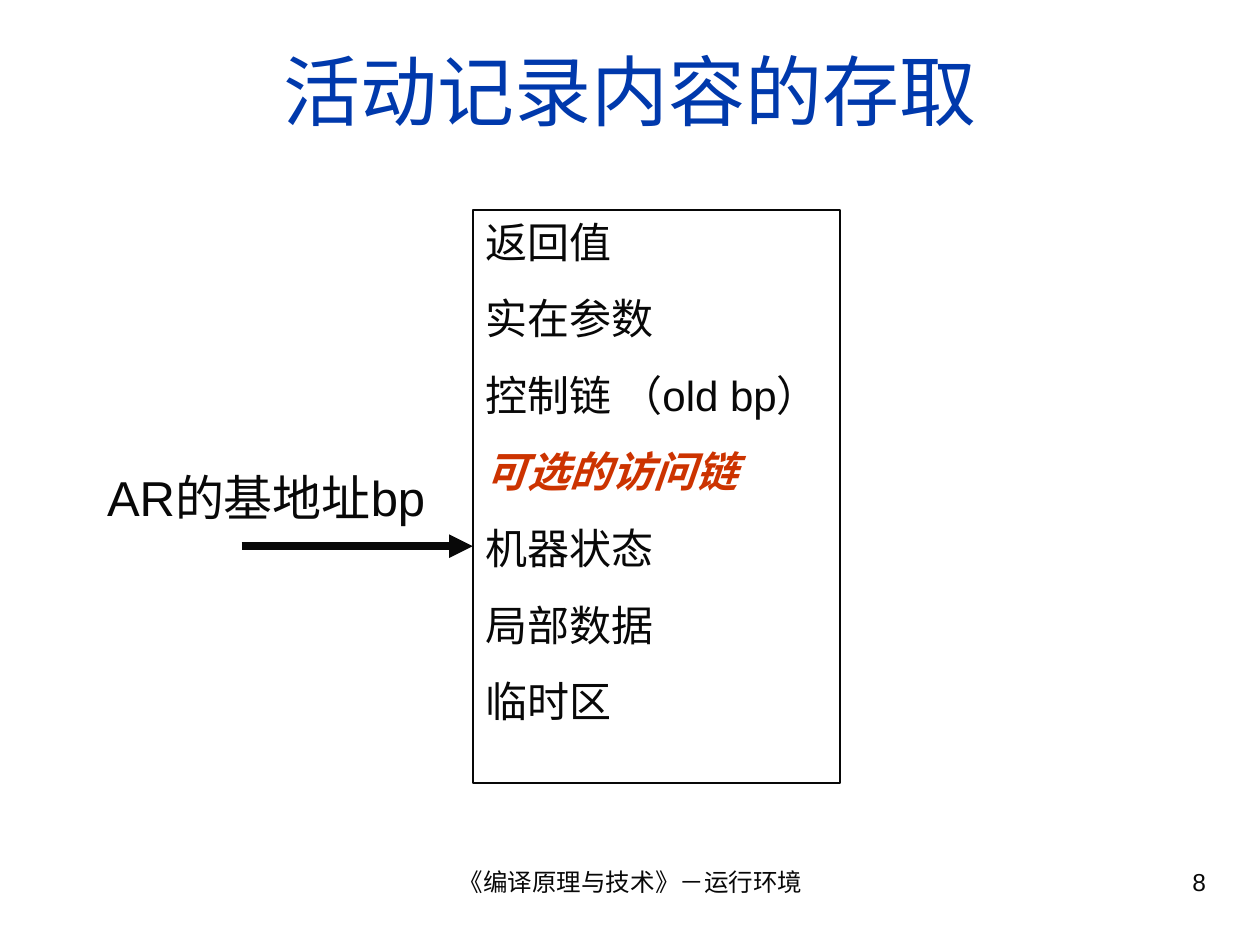
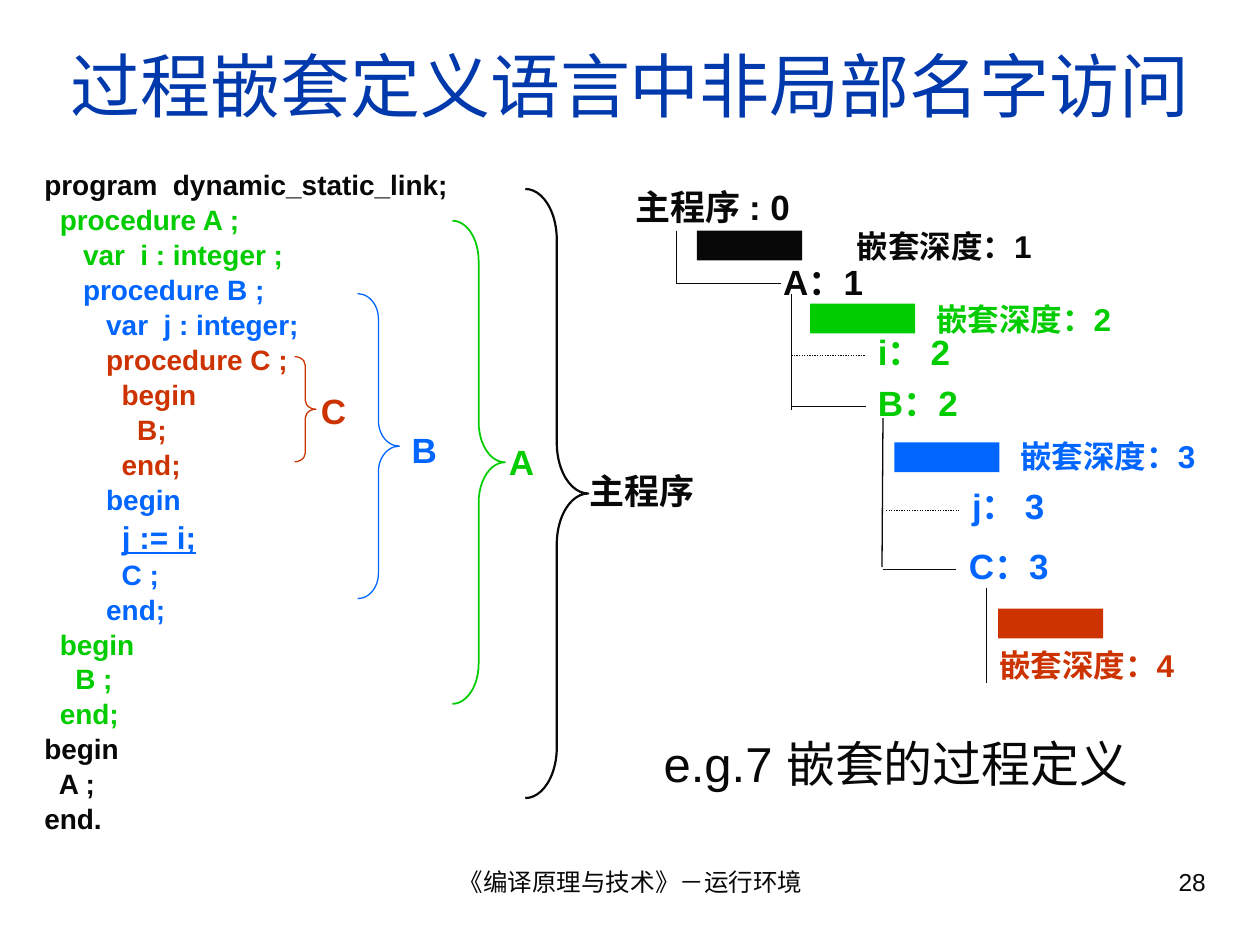
import pptx
import pptx.util
import pptx.dml.color
import pptx.enum.dml
import pptx.enum.shapes
import pptx.enum.text
import pptx.oxml
import pptx.oxml.ns

Cm, Pt = pptx.util.Cm, pptx.util.Pt
RGB = pptx.dml.color.RGBColor
ALIGN = pptx.enum.text.PP_ALIGN
ANCHOR = pptx.enum.text.MSO_ANCHOR
SHAPE = pptx.enum.shapes.MSO_SHAPE
DASH = pptx.enum.dml.MSO_LINE

# Shared look
FONT = "Arial"
BLACK = RGB(0x08, 0x08, 0x08)
NAVY = RGB(0x00, 0x39, 0xAC)
GREEN = RGB(0x00, 0xCC, 0x00)
BLUE = RGB(0x00, 0x66, 0xFF)
RED = RGB(0xCC, 0x33, 0x00)
FOOTER = "《编译原理与技术》－运行环境"

# Activation record: text, colour, emphasis
RECORD = [
    ("返回值", BLACK, False),
    ("实在参数", BLACK, False),
    ("控制链 （old bp）", BLACK, False),
    ("可选的访问链", RED, True),
    ("机器状态", BLACK, False),
    ("局部数据", BLACK, False),
    ("临时区", BLACK, False),
]

# Nested program: colour and code line
CODE = [
    (BLACK, "program  dynamic_static_link;"),
    (GREEN, "  procedure A ;"),
    (GREEN, "     var  i : integer ;"),
    (BLUE, "     procedure B ;"),
    (BLUE, "        var  j : integer;"),
    (RED, "        procedure C ;"),
    (RED, "          begin"),
    (RED, "            B;"),
    (RED, "          end;"),
    (BLUE, "        begin"),
    (BLUE, "          j := i;"),
    (BLUE, "          C ;"),
    (BLUE, "        end;"),
    (GREEN, "  begin"),
    (GREEN, "    B ;"),
    (GREEN, "  end;"),
    (BLACK, "begin"),
    (BLACK, "  A ;"),
    (BLACK, "end."),
]
KEY = "j := i;"

# Scope braces: name, colour, brace box, line width, label corner
SCOPES = [
    ("C", RED, (5.94, 7.19, 0.43, 2.12), 0.75, (6.22, 7.72)),
    ("B", BLUE, (7.21, 5.92, 0.84, 6.15), 0.75, (8.05, 8.51)),
    ("A", GREEN, (9.12, 4.45, 1.06, 9.74), 1, (10.01, 8.76)),
    ("主程序", BLACK, (10.59, 3.81, 1.27, 12.28), 1.25, (11.63, 9.35)),
]

# Nesting tree: label, colour, corner
NODES = [
    ("主程序 : 0", BLACK, 12.57, 3.61),
    ("A：1", BLACK, 15.54, 5.13),
    ("i： 2", GREEN, 17.45, 6.53),
    ("B：2", GREEN, 17.45, 7.57),
    ("j： 3", BLUE, 19.35, 9.65),
    ("C：3", BLUE, 19.28, 10.85),
]
# Start, end, dotted
EDGES = [
    ((13.64, 4.65), (13.64, 5.72), False),
    ((13.64, 5.72), (15.75, 5.72), False),
    ((15.95, 5.92), (15.95, 8.26), False),
    ((15.95, 7.16), (17.45, 7.16), True),
    ((15.95, 8.2), (17.45, 8.2), False),
    ((17.8, 8.43), (17.78, 11.43), False),
    ((17.86, 10.29), (19.35, 10.29), True),
    ((17.8, 11.48), (19.28, 11.48), False),
    ((19.89, 11.86), (19.89, 13.77), False),
]
# Depth key, level 1 up: colour, bar corner, label corner
DEPTHS = [
    (BLACK, (14.05, 4.65), (17.02, 4.45)),
    (GREEN, (16.33, 6.12), (18.62, 5.92)),
    (BLUE, (18.03, 8.92), (20.32, 8.69)),
    (RED, (20.12, 12.27), (19.89, 12.9)),
]


def add_run(para, text, size, color, bold=False, italic=False, under=False):
    run = para.add_run()
    run.text = text
    font = run.font
    font.name, font.size, font.color.rgb = FONT, Pt(size), color
    font.bold, font.italic, font.underline = bold, italic, under


def place(shape, box):
    shape.left, shape.top, shape.width, shape.height = map(Cm, box)


def add_text(slide, text, box, size, color=BLACK, bold=False, align=ALIGN.LEFT):
    frame = slide.shapes.add_textbox(*map(Cm, box)).text_frame
    frame.word_wrap = True
    para = frame.paragraphs[0]
    para.alignment = align
    add_run(para, text, size, color, bold)


def add_shape(slide, kind, box, fill=None, line=None, width=1):
    shape = slide.shapes.add_shape(kind, *map(Cm, box))
    shape.shadow.inherit = False
    if fill is None:
        shape.fill.background()
    else:
        shape.fill.solid()
        shape.fill.fore_color.rgb = fill
    if line is None:
        shape.line.fill.background()
    else:
        shape.line.color.rgb = line
        shape.line.width = Pt(width)
    return shape


def add_line(slide, start, end, width=0.75, dotted=False, arrow=False):
    kind = pptx.enum.shapes.MSO_CONNECTOR.STRAIGHT
    edge = slide.shapes.add_connector(kind, *map(Cm, start + end))
    edge.line.color.rgb = BLACK
    edge.line.width = Pt(width)
    if dotted:
        edge.line.dash_style = DASH.ROUND_DOT
    qn = pptx.oxml.ns.qn
    props = edge._element.spPr
    if arrow:
        tip = props.find(qn("a:ln")).makeelement(qn("a:tailEnd"), {"type": "triangle"})
        props.find(qn("a:ln")).append(tip)
    props.append(props.makeelement(qn("a:effectLst"), {}))


def add_slide(deck, layout, title, size, height, number):
    slide = deck.slides.add_slide(deck.slide_layouts[layout])
    head = slide.shapes.title
    place(head, (0.84, 0.64, 23.72, height))
    frame = head.text_frame
    frame.auto_size = pptx.enum.text.MSO_AUTO_SIZE.NONE
    frame.vertical_anchor = ANCHOR.MIDDLE
    frame.paragraphs[0].alignment = ALIGN.CENTER
    add_run(frame.paragraphs[0], title, size, NAVY)
    add_text(slide, FOOTER, (8.69, 17.35, 8.05, 1.32), 14, align=ALIGN.CENTER)
    add_text(slide, str(number), (18.21, 17.35, 6.35, 1.32), 14, align=ALIGN.RIGHT)
    return slide


def fill_record(slide):
    box = add_shape(slide, SHAPE.RECTANGLE, (9.53, 4.23, 7.41, 11.56), line=BLACK)
    frame = box.text_frame
    frame.word_wrap = True
    frame.vertical_anchor = ANCHOR.TOP
    for i, (text, color, strong) in enumerate(RECORD):
        para = frame.add_paragraph() if i else frame.paragraphs[0]
        para.alignment = ALIGN.LEFT
        if i:
            para.space_before = Pt(15)
        add_run(para, text, 24, color, strong, strong)


def fill_code(body):
    place(body, (0.64, 3.39, 8.89, 13.55))
    frame = body.text_frame
    frame.auto_size = pptx.enum.text.MSO_AUTO_SIZE.NONE
    for i, (color, text) in enumerate(CODE):
        para = frame.add_paragraph() if i else frame.paragraphs[0]
        props = para._p.get_or_add_pPr()
        props.set("marL", "0")
        props.set("indent", "0")
        props.append(props.makeelement(pptx.oxml.ns.qn("a:buNone"), {}))
        code = text.lstrip()
        size = 18 if code == KEY else 16
        para.line_spacing = 0.8
        para.space_before = Pt(0.29 * size if i else 0)
        if code == KEY:
            add_run(para, text[:-len(code)], 16, color, True)
            add_run(para, code, size, color, True, under=True)
        else:
            add_run(para, text, size, color, True)


def main():
    deck = pptx.Presentation()
    deck.slide_width, deck.slide_height = Cm(25.4), Cm(19.05)

    # Access to the record
    slide = add_slide(deck, 5, "活动记录内容的存取", 44, 2.34, 8)
    fill_record(slide)
    add_line(slide, (4.87, 11.01), (9.53, 11.01), 4.5, arrow=True)
    add_text(slide, "AR的基地址bp", (1.91, 9.31, 8.26, 1.45), 28)

    # Nested procedures: code and braces
    slide = add_slide(deck, 1, "过程嵌套定义语言中非局部名字访问", 40, 2.11, 28)
    fill_code(slide.placeholders[1])
    for name, color, box, width, spot in SCOPES:
        brace = add_shape(slide, SHAPE.RIGHT_BRACE, box, line=color, width=width)
        brace.adjustments[0] = box[3] / 12 / box[2]
        add_text(slide, name, spot + (2.97 if len(name) > 1 else 1.07, 1.12), 20, color, True)

    # Nesting tree
    for start, end, dotted in EDGES:
        add_line(slide, start, end, dotted=dotted)
    for text, color, left, top in NODES:
        add_text(slide, text, (left, top, 4.5, 1.12), 20, color, True)
    for level, (color, bar, spot) in enumerate(DEPTHS, 1):
        add_shape(slide, SHAPE.RECTANGLE, bar + (2.12, 0.6), fill=color)
        add_text(slide, f"嵌套深度：{level}", spot + (4.65, 1.02), 18, color, True)
    add_text(slide, "e.g.7 嵌套的过程定义", (13.13, 14.66, 10.37, 1.45), 28)

    deck.save("out.pptx")


if __name__ == "__main__":
    main()
